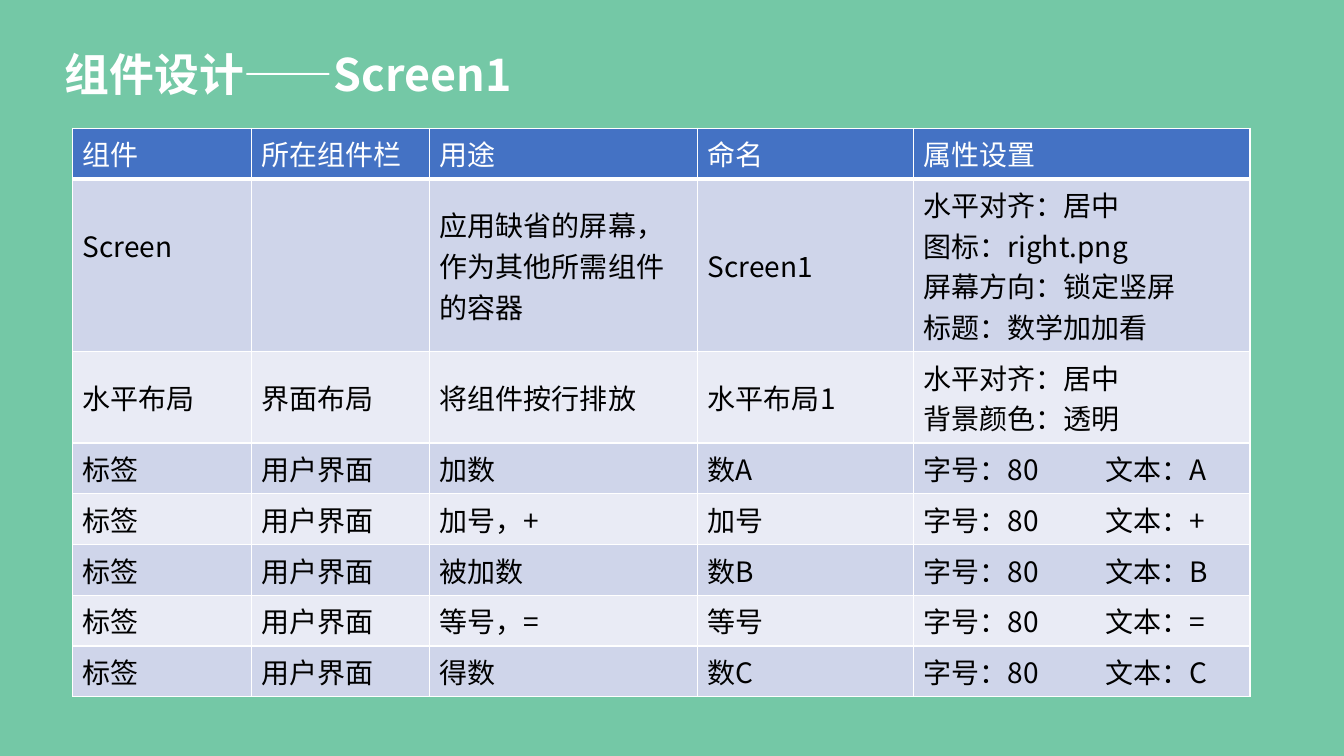
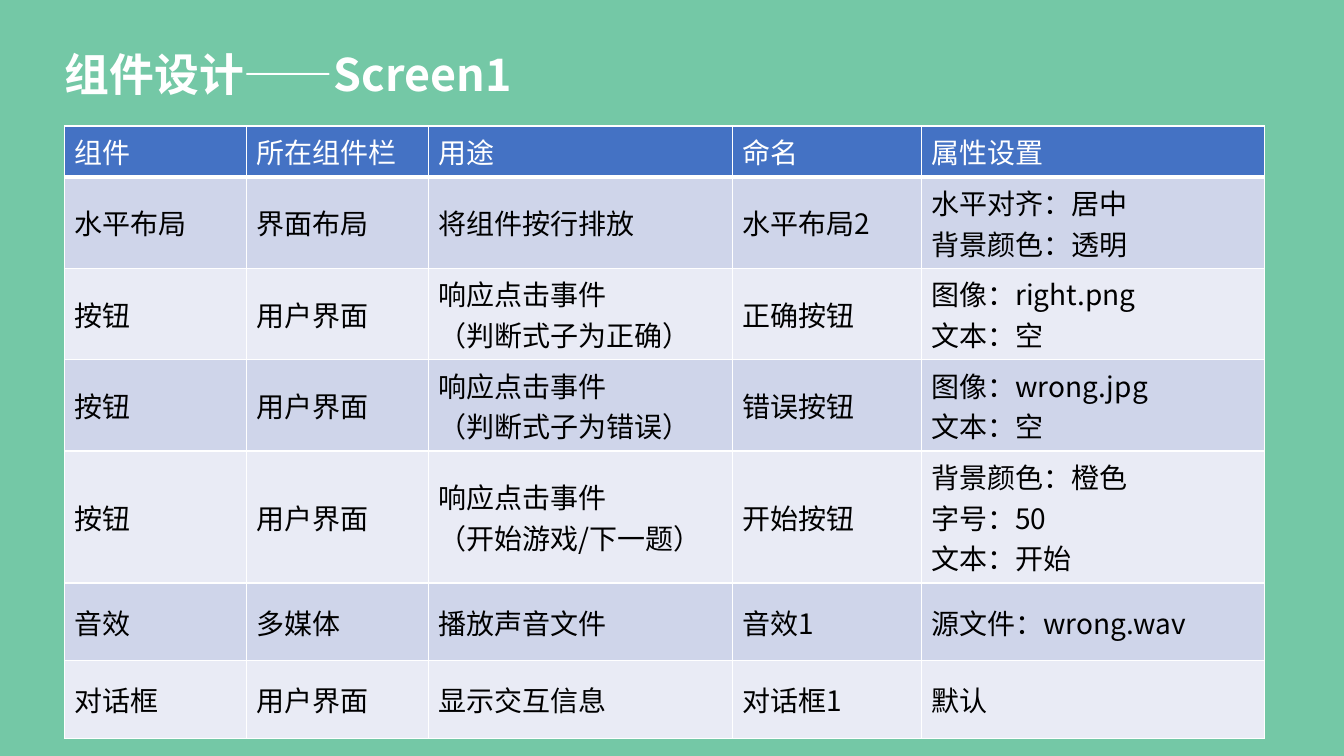
from lxml import etree
from pptx import Presentation
from pptx import util as u
from pptx.dml.color import RGBColor
from pptx.enum import text as tx
from pptx.oxml import ns

Pt = u.Pt
GREEN = RGBColor(0x74, 0xC8, 0xA6)
BLUE = RGBColor(0x44, 0x72, 0xC4)
DARK = RGBColor(0xCF, 0xD5, 0xEA)
LIGHT = RGBColor(0xE9, 0xEB, 0xF5)
WHITE = RGBColor(0xFF, 0xFF, 0xFF)
BLACK = RGBColor(0, 0, 0)
FONT = "Noto Sans CJK SC"
HEAD = ["组件", "所在组件栏", "用途", "命名", "属性设置"]
LABELS = [("加数", "数A", "A"), ("加号，+", "加号", "+"), ("被加数", "数B", "B"),
          ("等号，=", "等号", "="), ("得数", "数C", "C")]
CLICK = "响应点击事件\n"
LAYOUT = "水平对齐：居中\n背景颜色：透明"


def sub(node, tag, **attrs):
    return etree.SubElement(node, ns.qn(tag), **attrs)


class Deck:
    def __init__(self):
        self.prs = Presentation()
        self.prs.slide_width, self.prs.slide_height = Pt(960), Pt(540)
        fill = self.prs.slide_master.background.fill
        fill.solid()
        fill.fore_color.rgb = GREEN
        self.slide = None

    def style(self, para, size, color, bold=False):
        for run in para.runs:
            font = run.font
            font.size, font.bold, font.name = Pt(size), bold, FONT
            font.color.rgb = color
            sub(run._r.get_or_add_rPr(), "a:ea", typeface=FONT)

    def title(self, words):
        self.slide = self.prs.slides.add_slide(self.prs.slide_layouts[5])
        box = self.slide.shapes.title
        box.left, box.top, box.width, box.height = Pt(39), Pt(34), Pt(441), Pt(50)
        frame = box.text_frame
        frame.text = words
        frame.auto_size = tx.MSO_AUTO_SIZE.NONE
        frame.vertical_anchor = tx.MSO_ANCHOR.TOP
        para = frame.paragraphs[0]
        para.alignment = tx.PP_ALIGN.LEFT
        para.line_spacing = 0.9
        self.style(para, 32, WHITE, True)

    def edges(self, cell, base):
        props = cell._tc.get_or_add_tcPr()
        for i, side in enumerate(("lnL", "lnR", "lnT", "lnB")):
            width = base if side == "lnB" else 1
            line = etree.Element(ns.qn("a:" + side), w=str(Pt(width)))
            sub(sub(line, "a:solidFill"), "a:srgbClr", val=str(WHITE))
            props.insert(i, line)

    def cell(self, cell, words, fill, color, base):
        cell.text_frame.text = words
        cell.fill.solid()
        cell.fill.fore_color.rgb = fill
        self.edges(cell, base)
        for para in cell.text_frame.paragraphs:
            if "\t" in para.text:
                tabs = sub(para._p.get_or_add_pPr(), "a:tabLst")
                sub(tabs, "a:tab", pos=str(Pt(130)), algn="l")
            self.style(para, 20, color)

    def table(self, left, top, cols, highs, rows):
        rows = [HEAD] + rows
        grid = self.slide.shapes.add_table(
            len(rows), len(cols), Pt(left), Pt(top),
            Pt(sum(cols)), Pt(sum(highs))).table
        for col, width in zip(grid.columns, cols):
            col.width = Pt(width)
        for row, high in zip(grid.rows, highs):
            row.height = Pt(high)
        for r, row in enumerate(rows):
            for c, words in enumerate(row):
                cell = grid.cell(r, c)
                if r == 0:
                    self.cell(cell, words, BLUE, WHITE, 3)
                else:
                    self.cell(cell, words, DARK if r % 2 else LIGHT, BLACK, 1)
                    cell.vertical_anchor = tx.MSO_ANCHOR.MIDDLE
        return grid


def main():
    deck = Deck()
    name = "组件设计——Screen1"

    deck.title(name)
    rows = [
        ["Screen", "", "应用缺省的屏幕，作为其他所需组件的容器", "Screen1",
         "水平对齐：居中\n图标：right.png\n屏幕方向：锁定竖屏\n标题：数学加加看"],
        ["水平布局", "界面布局", "将组件按行排放", "水平布局1", LAYOUT],
    ]
    rows += [["标签", "用户界面", use, label, f"字号：80\t文本：{sign}"]
             for use, label, sign in LABELS]
    grid = deck.table(52, 91.5, [127.5, 127.5, 191.5, 154, 240.5],
                      [36, 123, 65] + [36] * 5, rows)
    grid.cell(1, 0).margin_bottom = Pt(32)

    deck.title(name)
    deck.table(46, 90, [130, 130, 217, 135, 245.5],
               [36, 65, 65, 65, 94, 55.5, 55.5], [
        ["水平布局", "界面布局", "将组件按行排放", "水平布局2", LAYOUT],
        ["按钮", "用户界面", CLICK + "（判断式子为正确）", "正确按钮",
         "图像：right.png\n文本：空"],
        ["按钮", "用户界面", CLICK + "（判断式子为错误）", "错误按钮",
         "图像：wrong.jpg\n文本：空"],
        ["按钮", "用户界面", CLICK + "（开始游戏/下一题）", "开始按钮",
         "背景颜色：橙色\n字号：50\n文本：开始"],
        ["音效", "多媒体", "播放声音文件", "音效1", "源文件：wrong.wav"],
        ["对话框", "用户界面", "显示交互信息", "对话框1", "默认"],
    ])
    deck.prs.save("out.pptx")


if __name__ == "__main__":
    main()
